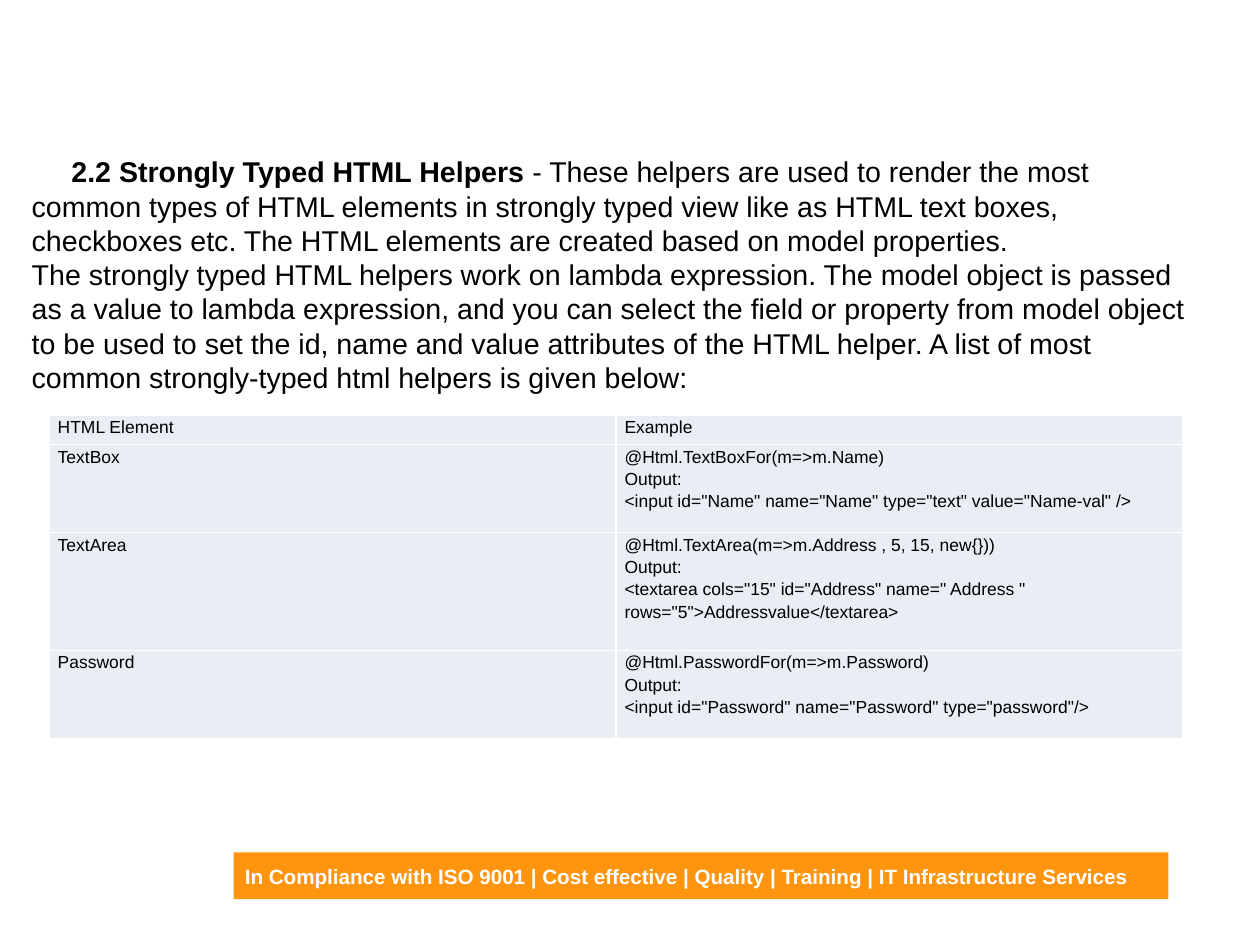
from lxml.etree import SubElement
from pptx import Presentation
from pptx.dml.color import RGBColor
from pptx.enum.shapes import MSO_SHAPE
from pptx.enum.text import MSO_ANCHOR, PP_ALIGN
from pptx.oxml.ns import qn
from pptx.util import Emu, Pt

COLORS = {"banner": "FF950E", "cell": "E9EDF4", "ink": "000000", "white": "FFFFFF"}
FONT = "Arial"
SLIDE_WIDTH, SLIDE_HEIGHT = Emu(10080625), Emu(7559675)
BANNER = "In Compliance with ISO 9001 | Cost effective | Quality | Training | IT Infrastructure Services"
INTRO = [
    [("2.2 Strongly Typed HTML Helpers ", True),
     ("- These helpers are used to render the most common types of HTML elements in strongly "
      "typed view like as HTML text boxes, checkboxes etc. The HTML elements are created based "
      "on model properties.", False)],
    [("The strongly typed HTML helpers work on lambda expression. The model object is passed as "
      "a value to lambda expression, and you can select the field or property from model object "
      "to be used to set the id, name and value attributes of the HTML helper. A list of most "
      "common strongly-typed html helpers is given below:", False)],
]
HELPERS = [
    ("HTML Element", ["Example"]),
    ("TextBox", ["@Html.TextBoxFor(m=>m.Name)", "Output:",
                 '<input id="Name" name="Name" type="text" value="Name-val" />']),
    ("TextArea", ["@Html.TextArea(m=>m.Address , 5, 15, new{}))", "Output:",
                  '<textarea cols="15" id="Address" name=" Address " rows="5">Addressvalue</textarea>']),
    ("Password", ["@Html.PasswordFor(m=>m.Password)", "Output:",
                  '<input id="Password" name="Password" type="password"/>']),
]
ROW_SHARES = [1, 3, 4, 3]


def color(name):
    """Return the named palette colour."""
    return RGBColor.from_string(COLORS[name])


def area(left, top, width, height):
    """Turn percentages of the slide into a box of lengths."""
    return (int(SLIDE_WIDTH * left / 100), int(SLIDE_HEIGHT * top / 100),
            int(SLIDE_WIDTH * width / 100), int(SLIDE_HEIGHT * height / 100))


def add_paragraphs(frame, paragraphs, size, ink="ink", spacing=None):
    """Fill a text frame with left-aligned paragraphs of (text, bold) runs."""
    for index, runs in enumerate(paragraphs):
        paragraph = frame.add_paragraph() if index else frame.paragraphs[0]
        paragraph.alignment = PP_ALIGN.LEFT
        if spacing:
            paragraph.line_spacing = spacing
        for text, bold in runs:
            run = paragraph.add_run()
            run.text = text
            run.font.name = FONT
            run.font.size = Pt(size)
            run.font.bold = bold
            run.font.color.rgb = color(ink)


def add_banner(slide, box):
    """Draw the orange footer banner."""
    banner = slide.shapes.add_shape(MSO_SHAPE.RECTANGLE, *box)
    banner.shadow.inherit = False
    banner.fill.solid()
    banner.fill.fore_color.rgb = color("banner")
    banner.line.fill.background()
    banner.text_frame.word_wrap = True
    banner.text_frame.vertical_anchor = MSO_ANCHOR.MIDDLE
    add_paragraphs(banner.text_frame, [[(BANNER, True)]], 13, "white")


def add_intro(slide, box):
    """Write the introduction with an indented opening line."""
    frame = slide.shapes.add_textbox(*box).text_frame
    frame.word_wrap = True
    add_paragraphs(frame, INTRO, 18)
    opening = frame.paragraphs[0]._p.get_or_add_pPr()
    opening.set("marL", "0")
    opening.set("indent", str(Pt(25)))


def style_cell(cell):
    """Give a cell its fill, margins and thin white borders."""
    cell.margin_left = cell.margin_right = Pt(5.4)
    cell.margin_top = cell.margin_bottom = 0
    properties = cell._tc.get_or_add_tcPr()
    for side in ("a:lnL", "a:lnR", "a:lnT", "a:lnB"):
        border = SubElement(properties, qn(side), w=str(Pt(1)))
        fill = SubElement(border, qn("a:solidFill"))
        SubElement(fill, qn("a:srgbClr"), val=COLORS["white"])
    cell.fill.solid()
    cell.fill.fore_color.rgb = color("cell")


def add_helper_table(slide, box):
    """Lay out the helpers in two equal columns and weighted rows."""
    table = slide.shapes.add_table(len(HELPERS), 2, *box).table
    table.first_row = table.horz_banding = False
    for column in table.columns:
        column.width = box[2] // 2
    for row, share, (element, example) in zip(table.rows, ROW_SHARES, HELPERS):
        row.height = box[3] * share // sum(ROW_SHARES)
        for cell, lines in zip(row.cells, ([element], example)):
            style_cell(cell)
            add_paragraphs(cell.text_frame, [[(line, False)] for line in lines], 11, spacing=1.15)


def main():
    """Build and save the slide."""
    deck = Presentation()
    deck.slide_width = SLIDE_WIDTH
    deck.slide_height = SLIDE_HEIGHT
    slide = deck.slides.add_slide(deck.slide_layouts[6])
    add_banner(slide, area(18.54, 90.2, 74.2, 4.96))
    add_intro(slide, area(1.63, 15.72, 94.56, 26.84))
    add_helper_table(slide, area(3.9, 43.92, 89.98, 34.22))
    deck.save("out.pptx")


if __name__ == "__main__":
    main()
